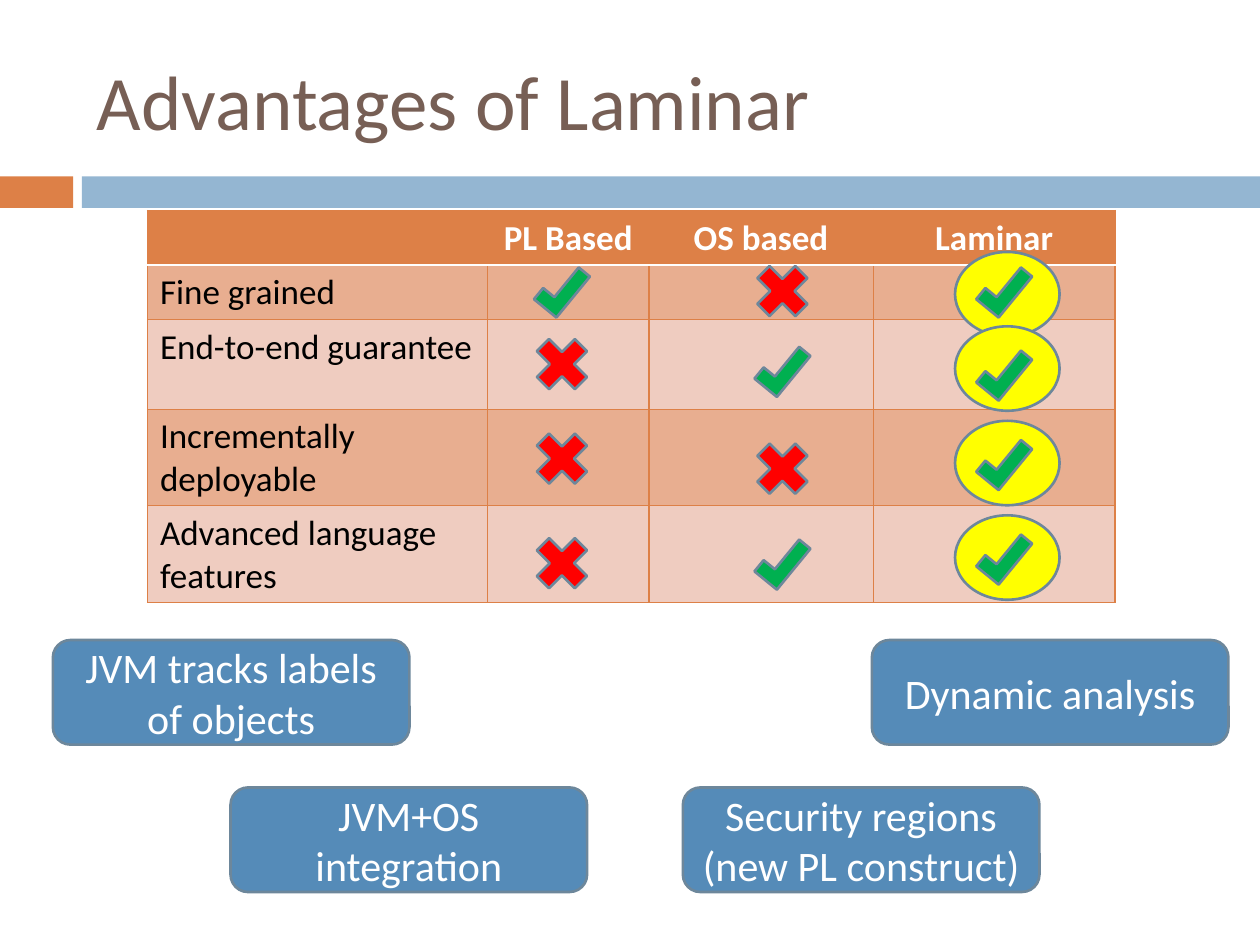
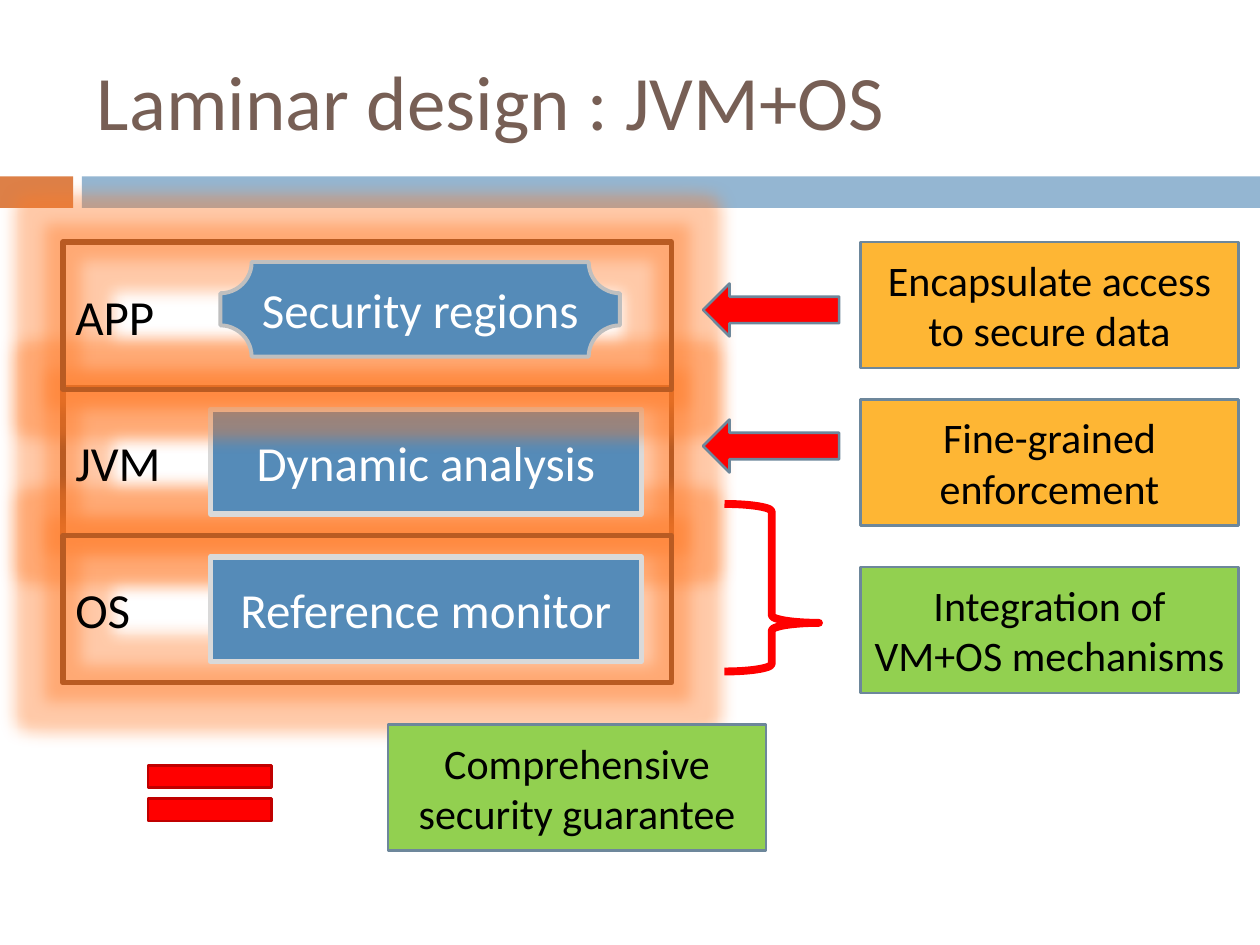
from dataclasses import dataclass
from typing import Optional

from lxml.etree import SubElement
from pptx import Presentation
from pptx.dml.color import RGBColor
from pptx.enum.shapes import MSO_SHAPE
from pptx.enum.text import MSO_ANCHOR, PP_ALIGN
from pptx.oxml import parse_xml
from pptx.oxml.ns import nsdecls, qn
from pptx.util import Inches, Pt

FONT = "Calibri"
COLORS = {
    "title": "775F55",
    "orange": "DD8047",
    "band": "94B6D2",
    "row_dark": "E8AE90",
    "row_light": "EFCCC0",
    "blue": "558BB8",
    "outline": "6D879B",
    "frame": "B95B22",
    "glow": "FF7A26",
    "silver": "D9D9D9",
    "gray": "BFBFBF",
    "red": "FF0000",
    "dark_red": "C00000",
    "check": "00B050",
    "yellow": "FFFF00",
    "amber": "FEB634",
    "lime": "92D050",
    "white": "FFFFFF",
    "black": "000000",
}


@dataclass(frozen=True)
class Box:
    left: float
    top: float
    width: float
    height: float
    fill: Optional[str] = None
    line: Optional[str] = "outline"
    line_width: float = 1.5
    kind: MSO_SHAPE = MSO_SHAPE.RECTANGLE
    text: str = ""
    size: int = 24
    color: str = "black"
    align: PP_ALIGN = PP_ALIGN.CENTER
    adjustments: tuple = ()
    rotation: float = 0


@dataclass(frozen=True)
class Feature:
    name: str
    height: float
    pl_works: bool
    pl_y: float
    os_works: bool
    os_y: float
    oval_y: float
    laminar_y: float


def rgb(name: str) -> RGBColor:
    return RGBColor.from_string(COLORS[name])


def style_text(tf, size: int, color: str, align: PP_ALIGN, bold: bool = False) -> None:
    for p in tf.paragraphs:
        p.alignment = align
        for r in p.runs:
            r.font.name = FONT
            r.font.size = Pt(size)
            r.font.bold = bold
            r.font.color.rgb = rgb(color)


def draw_box(s, box: Box):
    sp = s.shapes.add_shape(box.kind, Inches(box.left), Inches(box.top),
                            Inches(box.width), Inches(box.height))
    sp.shadow.inherit = False
    sp.rotation = box.rotation
    for i, value in enumerate(box.adjustments):
        sp.adjustments[i] = value
    if box.fill:
        sp.fill.solid()
        sp.fill.fore_color.rgb = rgb(box.fill)
    else:
        sp.fill.background()
    if box.line:
        sp.line.color.rgb = rgb(box.line)
        sp.line.width = Pt(box.line_width)
    else:
        sp.line.fill.background()
    if box.text:
        tf = sp.text_frame
        tf.word_wrap = True
        tf.vertical_anchor = MSO_ANCHOR.MIDDLE
        tf.text = box.text
        style_text(tf, box.size, box.color, box.align)
    return sp


def add_slide(prs, title: str):
    s = prs.slides.add_slide(prs.slide_layouts[6])
    draw_box(s, Box(0, 1.4, 0.58, 0.25, "orange", None))
    draw_box(s, Box(0.65, 1.4, 9.35, 0.25, "band", None))
    sp = s.shapes.add_textbox(Inches(0.67), Inches(0.25), Inches(8.92), Inches(1.08))
    tf = sp.text_frame
    tf.word_wrap = True
    tf.vertical_anchor = MSO_ANCHOR.MIDDLE
    tf.text = title
    style_text(tf, 44, "title", PP_ALIGN.LEFT)
    return s


def set_border(cell, side: str, color: str, width: float) -> None:
    cell._tc.get_or_add_tcPr().append(parse_xml(
        f'<a:{side} {nsdecls("a")} w="{Pt(width)}"><a:solidFill>'
        f'<a:srgbClr val="{COLORS[color]}"/></a:solidFill></a:{side}>'))


def style_cell(cell, row: int, column: int) -> None:
    header = row == 0
    divider = {0: "lnB", 1: "lnT"}.get(row)
    for side in ("lnL", "lnR", "lnT", "lnB"):
        if side == divider:
            set_border(cell, side, "white", 1.5)
        else:
            set_border(cell, side, "orange", 0.79)
    cell.fill.solid()
    cell.fill.fore_color.rgb = rgb(
        "orange" if header else "row_dark" if row % 2 else "row_light")
    style_text(cell.text_frame, 20, "white" if header else "black",
               PP_ALIGN.CENTER if header else PP_ALIGN.LEFT, header)


def draw_table(s, headers: list[str], widths: list[float], features: list[Feature]) -> None:
    heights = [0.4] + [feature.height for feature in features]
    table = s.shapes.add_table(len(heights), len(widths), Inches(1.17), Inches(1.67),
                               Inches(sum(widths)), Inches(sum(heights))).table
    for column, width in zip(table.columns, widths):
        column.width = Inches(width)
    for row, height in zip(table.rows, heights):
        row.height = Inches(height)
    for column, header in enumerate(headers):
        table.cell(0, column).text = header
    for row, feature in enumerate(features, 1):
        table.cell(row, 0).text = feature.name
    for row in range(len(heights)):
        for column in range(len(widths)):
            style_cell(table.cell(row, column), row, column)


def draw_mark(s, works: bool, x: float, y: float) -> None:
    if works:
        draw_box(s, Box(x - 0.21, y - 0.12, 0.42, 0.23, "check",
                        kind=MSO_SHAPE.CORNER, rotation=309.3))
    else:
        draw_box(s, Box(x - 0.29, y - 0.29, 0.58, 0.58, "red",
                        kind=MSO_SHAPE.MATH_MULTIPLY))


def add_glow(sp) -> None:
    effects = sp._element.spPr.find(qn("a:effectLst"))
    glow = SubElement(effects, qn("a:glow"), rad=str(Inches(0.25)))
    color = SubElement(glow, qn("a:srgbClr"), val=COLORS["glow"])
    SubElement(color, qn("a:alpha"), val="40000")


def build_advantages(prs) -> None:
    s = add_slide(prs, "Advantages of Laminar")
    features = [
        Feature("Fine grained", 0.4, True, 2.29, False, 2.31, 2.33, 2.29),
        Feature("End-to-end guarantee", 0.71, False, 2.89, True, 2.92, 2.92, 2.95),
        Feature("Incrementally deployable", 0.71, False, 3.64, False, 3.72, 3.67, 3.66),
        Feature("Advanced language features", 0.71, False, 4.47, True, 4.45, 4.42, 4.41),
    ]
    draw_table(s, ["", "PL Based", "OS based", "Laminar"],
               [2.7, 1.28, 1.78, 1.92], features)
    for feature in features:
        draw_mark(s, feature.pl_works, 4.46, feature.pl_y)
        draw_mark(s, feature.os_works, 6.21, feature.os_y)
        draw_box(s, Box(7.58, feature.oval_y - 0.33, 0.83, 0.67, "yellow",
                        kind=MSO_SHAPE.OVAL))
        draw_mark(s, True, 7.97, feature.laminar_y)
    for left, top, text in (
        (6.92, 5.08, "Dynamic analysis"),
        (5.42, 6.25, "Security regions\n(new PL construct)"),
        (1.83, 6.25, "JVM+OS integration"),
        (0.42, 5.08, "JVM tracks labels\nof objects"),
    ):
        draw_box(s, Box(left, top, 2.83, 0.83, "blue", text=text, color="white",
                        kind=MSO_SHAPE.ROUNDED_RECTANGLE))


def build_design(prs) -> None:
    s = add_slide(prs, "Laminar design : JVM+OS")
    layer_tops = {"JVM": 3.08, "OS": 4.25, "APP": 1.92}
    frames = {
        name: Box(0.5, top, 4.83, 1.17, None, "frame", 3, text=name, size=28,
                  align=PP_ALIGN.LEFT)
        for name, top in layer_tops.items()
    }
    for name in ("JVM", "OS"):
        add_glow(draw_box(s, frames[name]))
    for name, text in (("OS", "Reference monitor"), ("JVM", "Dynamic analysis")):
        draw_box(s, Box(1.67, layer_tops[name] + 0.17, 3.42, 0.83, "blue", "silver", 3,
                        text=text, size=28, color="white"))
    add_glow(draw_box(s, frames["APP"]))
    draw_box(s, Box(1.75, 2.08, 3.17, 0.75, "blue", "gray", 2.25, MSO_SHAPE.PLAQUE,
                    "Security regions", 28, "white", adjustments=(0.33,)))
    for left, top, fill, text in (
        (6.83, 1.92, "amber", "Encapsulate access to secure data"),
        (6.83, 3.17, "amber", "Fine-grained enforcement"),
        (6.83, 4.5, "lime", "Integration of VM+OS mechanisms"),
        (3.08, 5.75, "lime", "Comprehensive security guarantee"),
    ):
        draw_box(s, Box(left, top, 3, 1, fill, text=text))
    for top in (2.25, 3.33):
        draw_box(s, Box(5.58, top, 1.08, 0.42, "red", kind=MSO_SHAPE.LEFT_ARROW))
    draw_box(s, Box(1, 5.92, 1.33, 0.75, "red", "dark_red", kind=MSO_SHAPE.MATH_EQUAL))
    draw_box(s, Box(5.75, 4, 0.75, 1.33, None, "red", 4.5, MSO_SHAPE.RIGHT_BRACE,
                    adjustments=(0.08, 0.71)))


def main() -> None:
    prs = Presentation()
    prs.slide_width = Inches(10)
    prs.slide_height = Inches(7.5)
    build_advantages(prs)
    build_design(prs)
    prs.save("out.pptx")


if __name__ == "__main__":
    main()
